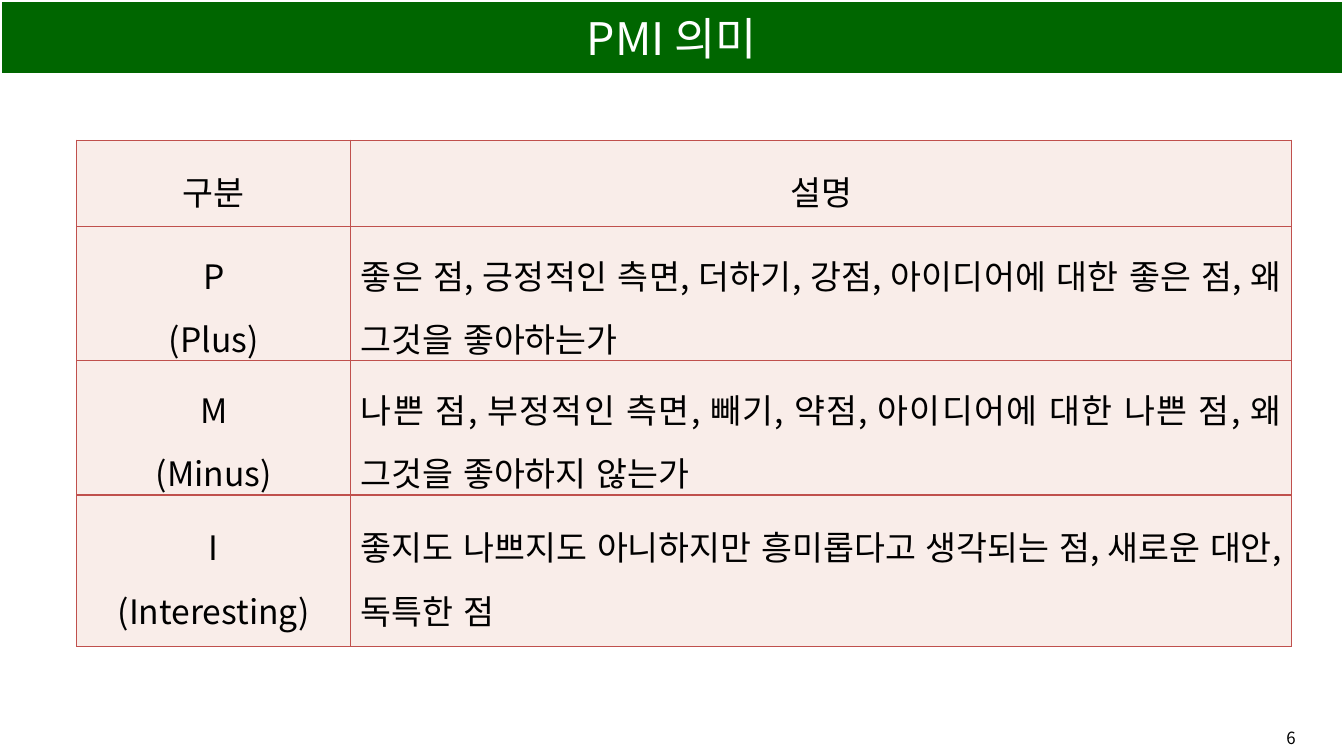
"""Build a slide that explains the meaning of PMI in a table."""
from lxml import etree
from pptx import Presentation
from pptx.dml.color import RGBColor
from pptx.enum.lang import MSO_LANGUAGE_ID
from pptx.enum.shapes import MSO_SHAPE
from pptx.enum.text import MSO_ANCHOR, PP_ALIGN
from pptx.oxml import parse_xml
from pptx.oxml.ns import nsdecls, qn
from pptx.util import Inches, Pt

RECTANGLE = MSO_SHAPE.RECTANGLE
MIDDLE = MSO_ANCHOR.MIDDLE
CENTER, JUSTIFY = PP_ALIGN.CENTER, PP_ALIGN.JUSTIFY
KOREAN = MSO_LANGUAGE_ID.KOREAN
FONT = "Noto Sans CJK KR"
WIDTH, HEIGHT = Inches(13.33), Inches(7.5)
BLACK, WHITE, GREEN = "000000", "FFFFFF", "006600"
CELL_FILL, BORDER = "F9EDE9", "C0504D"
COLUMNS = [2.72, 9.33]
ROWS = [
    (0.86, "구분", "설명"),
    (1.33, "P\n(Plus)", "좋은 점, 긍정적인 측면, 더하기, 강점, 아이디어에 대한 좋은 점, 왜 그것을 좋아하는가"),
    (1.33, "M\n(Minus)", "나쁜 점, 부정적인 측면, 빼기, 약점, 아이디어에 대한 나쁜 점, 왜 그것을 좋아하지 않는가"),
    (1.5, "I\n(Interesting)", "좋지도 나쁘지도 아니하지만 흥미롭다고 생각되는 점, 새로운 대안, 독특한 점"),
]


def color(value):
    """Turn a hex string into a colour."""
    return RGBColor.from_string(value)


def write_text(frame, text, size=24, fill=BLACK, align=CENTER, spacing=None):
    """Write one formatted paragraph for each line of the text."""
    for index, line in enumerate(text.split("\n")):
        paragraph = frame.add_paragraph() if index else frame.paragraphs[0]
        paragraph.alignment = align
        paragraph.line_spacing = spacing
        run = paragraph.add_run()
        run.text = line
        run.font.name = FONT
        run.font.size = Pt(size)
        run.font.color.rgb = color(fill)
        run.font.language_id = KOREAN
        properties = run.font._element
        etree.SubElement(properties, qn("a:ea")).set("typeface", FONT)


def add_title(slide, text):
    """Add the title bar across the top."""
    shape = slide.shapes.add_shape(RECTANGLE, 0, 0, WIDTH, HEIGHT // 10)
    shape.shadow.inherit = False
    shape.fill.solid()
    shape.fill.fore_color.rgb = color(GREEN)
    shape.line.color.rgb = color(WHITE)
    shape.line.width = Pt(3)
    shape.text_frame.vertical_anchor = MIDDLE
    write_text(shape.text_frame, text, size=32, fill=WHITE)


def add_page_number(slide, text):
    """Add the page number at the lower right."""
    box = slide.shapes.add_textbox(Inches(12.58), Inches(7.17), Inches(0.45), Inches(0.3))
    box.text_frame.word_wrap = False
    write_text(box.text_frame, text, size=12)


def set_borders(cell):
    """Draw a thin line on all four sides of a cell."""
    properties = cell._tc.get_or_add_tcPr()
    for index, side in enumerate("LRTB"):
        properties.insert(index, parse_xml(
            f'<a:ln{side} {nsdecls("a")} w="{Pt(1)}"><a:solidFill>'
            f'<a:srgbClr val="{BORDER}"/></a:solidFill></a:ln{side}>'))


def fill_cell(cell, text, align):
    """Write and format one table cell."""
    cell.fill.solid()
    cell.fill.fore_color.rgb = color(CELL_FILL)
    cell.vertical_anchor = MIDDLE
    cell.margin_left = cell.margin_right = Inches(0.1)
    cell.margin_top = cell.margin_bottom = Inches(0.09)
    write_text(cell.text_frame, text, align=align, spacing=1.3)
    set_borders(cell)


def add_meaning_table(slide):
    """Add the table of PMI terms and descriptions."""
    heights = [row[0] for row in ROWS]
    table = slide.shapes.add_table(
        len(ROWS), len(COLUMNS), Inches(0.76), Inches(1.39),
        Inches(sum(COLUMNS)), Inches(sum(heights))).table
    for column, width in zip(table.columns, COLUMNS):
        column.width = Inches(width)
    for index, (height, term, description) in enumerate(ROWS):
        table.rows[index].height = Inches(height)
        fill_cell(table.cell(index, 0), term, CENTER)
        fill_cell(table.cell(index, 1), description, JUSTIFY if index else CENTER)


def main():
    """Build and save the presentation."""
    presentation = Presentation()
    presentation.slide_width, presentation.slide_height = WIDTH, HEIGHT
    slide = presentation.slides.add_slide(presentation.slide_layouts[6])
    add_page_number(slide, "6")
    add_title(slide, "PMI 의미")
    add_meaning_table(slide)
    presentation.save("out.pptx")


if __name__ == "__main__":
    main()
